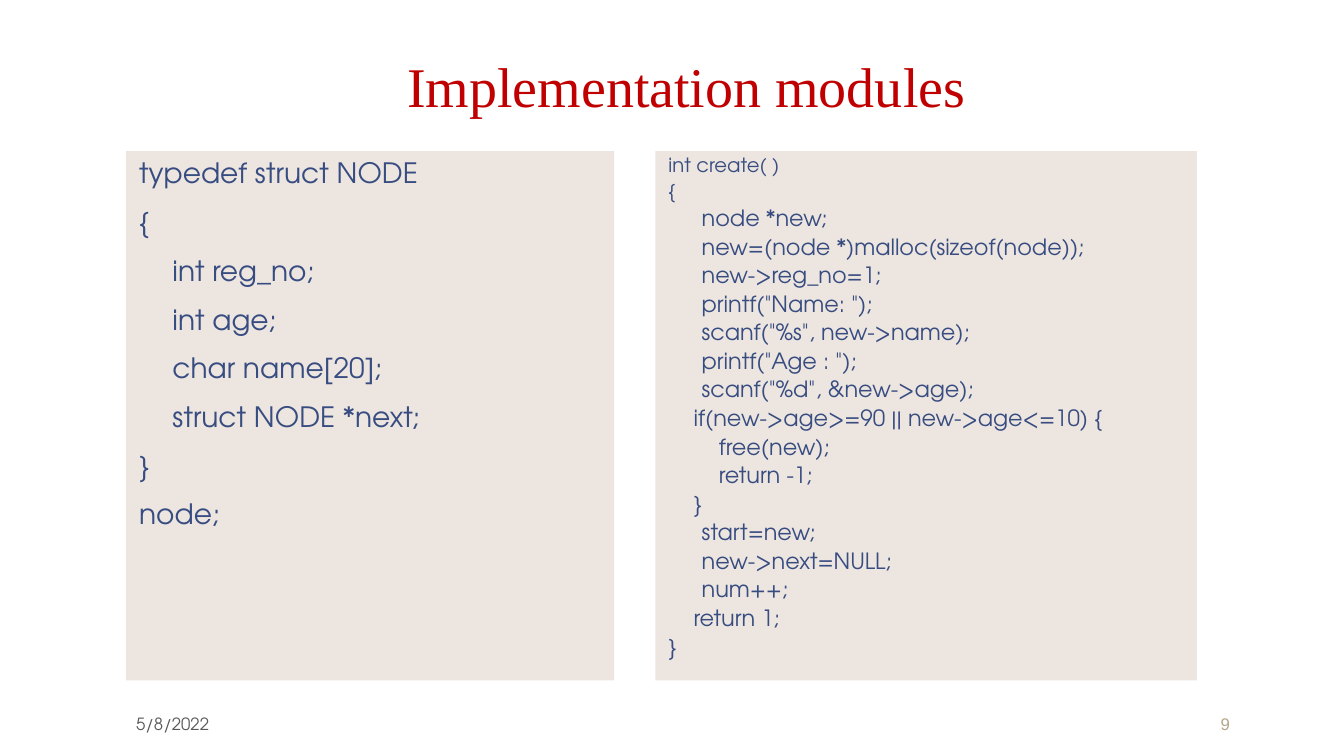
from pptx import Presentation
from pptx.dml.color import RGBColor
from pptx.enum.text import MSO_ANCHOR as Anchor, MSO_AUTO_SIZE as AutoSize, PP_ALIGN as Align
from pptx.oxml.ns import qn
from pptx.util import Inches, Pt
from lxml import etree

TAB, STEP = 0.33, 0.25  # code indents in inches
CODE_FONT = "TeX Gyre Adventor"
PANEL, INK = "EDE5DF", "374C81"

TITLE = "Implementation modules"

# Each code line: (indent, text)
NODE_CODE = [
    (0, "typedef struct NODE"),
    (0, "{"),
    (TAB, "int reg_no;"),
    (TAB, "int age;"),
    (TAB, "char name[20];"),
    (TAB, "struct NODE *next;"),
    (0, "}"),
    (0, "node;"),
]
CREATE_CODE = [
    (0, "int create( )"),
    (0, "{"),
    (TAB, "node *new;"),
    (TAB, "new=(node *)malloc(sizeof(node));"),
    (TAB, "new->reg_no=1;"),
    (TAB, 'printf("Name: ");'),
    (TAB, 'scanf("%s", new->name);'),
    (TAB, 'printf("Age : ");'),
    (TAB, 'scanf("%d", &new->age);'),
    (STEP, "if(new->age>=90 || new->age<=10) {"),
    (2 * STEP, "free(new);"),
    (2 * STEP, "return -1;"),
    (STEP, "}"),
    (TAB, "start=new;"),
    (TAB, "new->next=NULL;"),
    (TAB, "num++;"),
    (STEP, "return 1;"),
    (0, "}"),
]

# Panels: left, width, code, sizes of the first two lines and of the rest, format
PANELS = [
    (1.25, 4.84, NODE_CODE, 20, 20, {"line_spacing": 0.95, "space_before": Pt(12)}),
    (6.5, 5.37, CREATE_CODE, 14, 16, {"line_spacing": 0.75, "space_before": Pt(6)}),
]
PANEL_TOP, PANEL_HEIGHT = 1.5, 5.25

# Footers: left, width, text, font, colour, alignment
FOOTERS = [
    (1.22, 3, "5/8/2022", CODE_FONT, "595959", Align.LEFT),
    (11.12, 1.21, "9", "Arial", "B5A788", Align.RIGHT),
]


def color(value):
    return RGBColor.from_string(value)


def place(shape, left, top, width, height):
    box = {"left": left, "top": top, "width": width, "height": height}
    for name, value in box.items():
        setattr(shape, name, Inches(value))


def set_frame(shape, anchor):
    frame = shape.text_frame
    formats = {
        "word_wrap": True, "auto_size": AutoSize.NONE, "vertical_anchor": anchor,
        "margin_left": Inches(0.13), "margin_right": Inches(0.13),
        "margin_top": Inches(0.07), "margin_bottom": Inches(0.07),
    }
    for name, value in formats.items():
        setattr(frame, name, value)
    return frame


def write(paragraph, text, font, size, ink, indent=0, **formats):
    """Fill a paragraph with one run, without a bullet."""
    run = paragraph.add_run()
    run.text = text
    run.font.name, run.font.size = font, Pt(size)
    run.font.color.rgb = color(ink)
    for name, value in formats.items():
        setattr(paragraph, name, value)
    properties = paragraph._p.get_or_add_pPr()
    properties.set("marL", str(Inches(indent)))
    properties.set("indent", "0")
    etree.SubElement(properties, qn("a:buNone"))


def fill_panel(shape, left, width, code, head_size, size, formats):
    place(shape, left, PANEL_TOP, width, PANEL_HEIGHT)
    shape.fill.solid()
    shape.fill.fore_color.rgb = color(PANEL)
    frame = set_frame(shape, Anchor.TOP)
    for number, (indent, text) in enumerate(code):
        paragraph = frame.add_paragraph() if number else frame.paragraphs[0]
        line_size = head_size if number < 2 else size
        write(paragraph, text, CODE_FONT, line_size, INK, indent, **formats)


def main():
    presentation = Presentation()
    presentation.slide_width, presentation.slide_height = Inches(13.33), Inches(7.5)
    slide = presentation.slides.add_slide(presentation.slide_layouts.get_by_name("Two Content"))
    title, *bodies = slide.placeholders

    place(title, 2.66, 0, 9, 1.25)
    write(set_frame(title, Anchor.BOTTOM).paragraphs[0], TITLE, "Times New Roman", 40,
          "C00000", indent=1.25, line_spacing=0.85, alignment=Align.LEFT)

    for body, panel in zip(bodies, PANELS):
        fill_panel(body, *panel)

    for left, width, text, font, ink, alignment in FOOTERS:
        footer = slide.shapes.add_textbox(Inches(left), Inches(7), Inches(width), Inches(0.35))
        paragraph = set_frame(footer, Anchor.BOTTOM).paragraphs[0]
        write(paragraph, text, font, 12, ink, alignment=alignment)

    presentation.save("out.pptx")


if __name__ == "__main__":
    main()
